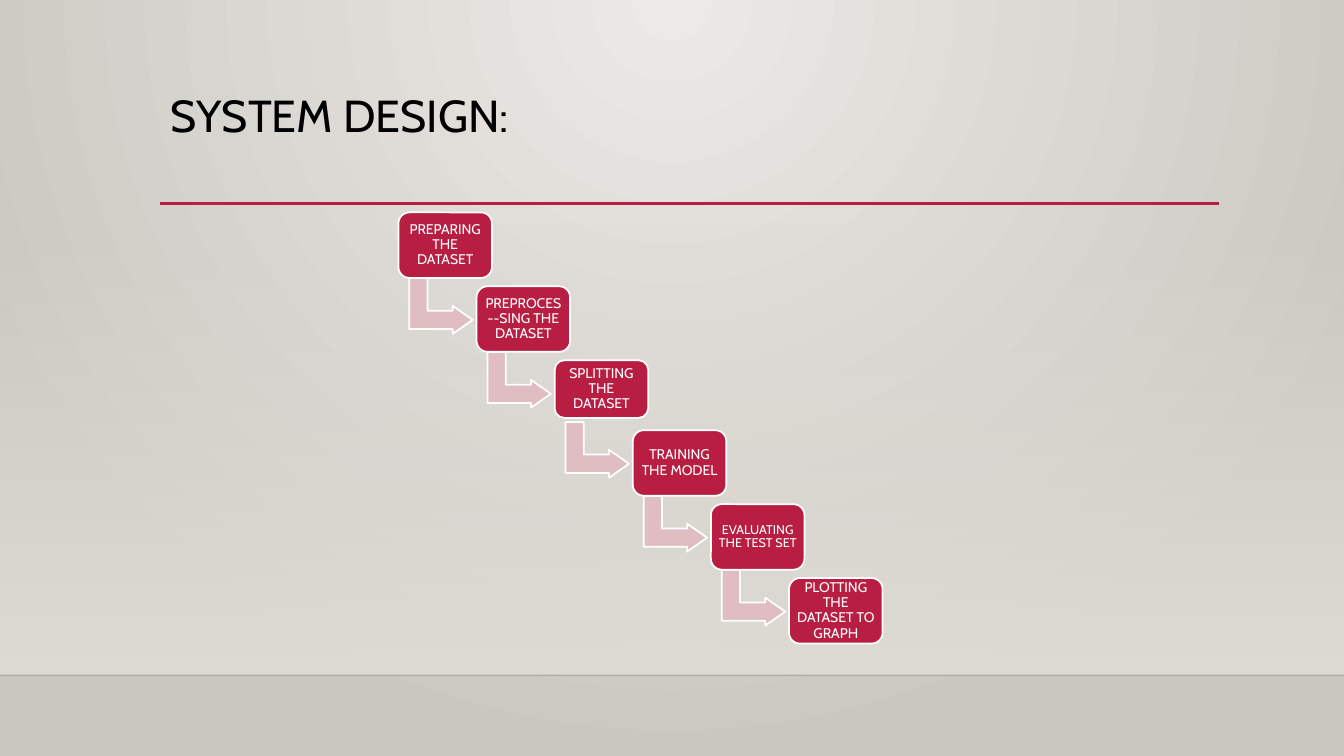
import lxml.etree
import pptx
import pptx.dml.color
import pptx.enum.shapes
import pptx.enum.text
import pptx.oxml
import pptx.oxml.ns
import pptx.util

Pt = pptx.util.Pt
qn = pptx.oxml.ns.qn
SHAPES = pptx.enum.shapes.MSO_SHAPE
ALIGN = pptx.enum.text.PP_ALIGN
ANCHOR = pptx.enum.text.MSO_ANCHOR

COLORS = {
    "glow": "ECEAE7", "edge": "CAC7C1", "wall": "DFDBD5", "floor": "000001",
    "red": "B71E42", "pink": "DFBDC0", "white": "FFFFFF", "black": "000000",
}
WIDE, HIGH = 960, 540
FLOOR = 482.4


def color(name):
    """Return the named colour as an RGB value."""
    return pptx.dml.color.RGBColor.from_string(COLORS[name])


def blend(parent, stops, course):
    """Swap the solid fill of parent for a gradient of (place, colour, alpha)."""
    marks = "".join(
        f'<a:gs pos="{place * 1000}"><a:srgbClr val="{COLORS[name]}">'
        f'<a:alpha val="{alpha * 1000}"/></a:srgbClr></a:gs>'
        for place, name, alpha in stops)
    grad = pptx.oxml.parse_xml(
        f'<a:gradFill {pptx.oxml.ns.nsdecls("a")} rotWithShape="1">'
        f'<a:gsLst>{marks}</a:gsLst>{course}</a:gradFill>')
    parent.replace(parent.find(qn("a:solidFill")), grad)


class Deck:
    """Hold the style and the current slide."""

    font = "Cabin"
    border = 1.25

    def __init__(self):
        """Start a deck with one title-only slide."""
        self.show = pptx.Presentation()
        self.show.slide_width, self.show.slide_height = Pt(WIDE), Pt(HIGH)
        self.slide = self.show.slides.add_slide(self.show.slide_layouts[5])

    def style(self, para, size, name):
        """Set the font and spacing of a paragraph."""
        para.font.name = self.font
        para.font.size = Pt(size)
        para.font.color.rgb = color(name)
        para.line_spacing = 0.9

    def back(self):
        """Light the background from the top centre."""
        self.slide.background.fill.solid()
        blend(self.slide.element.xpath(".//p:bgPr")[0],
              [(0, "glow", 100), (100, "edge", 100)],
              '<a:path path="circle"><a:fillToRect l="43000" t="0" '
              'r="43000" b="100000"/></a:path>')

    def title(self, text, *frame):
        """Place and fill the title."""
        head = self.slide.shapes.title
        head.left, head.top, head.width, head.height = map(Pt, frame)
        box = head.text_frame
        box.text = text
        box.word_wrap = True
        box.vertical_anchor = ANCHOR.TOP
        box.paragraphs[0].alignment = ALIGN.LEFT
        self.style(box.paragraphs[0], 32, "black")

    def shape(self, kind, fill, *frame):
        """Add a plain filled shape."""
        item = self.slide.shapes.add_shape(kind, *map(Pt, frame))
        item.shadow.inherit = False
        item.fill.solid()
        item.fill.fore_color.rgb = color(fill)
        item.line.fill.background()
        return item

    def edge(self, item):
        """Give a shape the white border."""
        item.line.color.rgb = color("white")
        item.line.width = Pt(self.border)

    def wall(self, *frame):
        """Add the panel that fades in from top to bottom."""
        panel = self.shape(SHAPES.RECTANGLE, "wall", *frame)
        blend(panel.element.spPr, [(0, "wall", 0), (100, "wall", 100)],
              '<a:lin ang="5400000" scaled="0"/>')

    def rule(self, left, right, top, name, width, alpha=100):
        """Add a level line."""
        line = self.slide.shapes.add_connector(
            pptx.enum.shapes.MSO_CONNECTOR.STRAIGHT,
            Pt(left), Pt(top), Pt(right), Pt(top))
        line.line.color.rgb = color(name)
        line.line.width = Pt(width)
        props = line.element.spPr
        tone = props.find(".//" + qn("a:srgbClr"))
        lxml.etree.SubElement(tone, qn("a:alpha"), val=str(alpha * 1000))
        lxml.etree.SubElement(props, qn("a:effectLst"))

    def arrow(self, left, top):
        """Add a bent arrow that goes down and then right."""
        bend = self.shape(SHAPES.BENT_UP_ARROW, "pink", left, top, 39.8, 45.3)
        bend.rotation = 90
        for spot, value in enumerate((0.328, 0.25, 0.358)):
            bend.adjustments[spot] = value
        self.edge(bend)

    def step(self, text, size, *frame):
        """Add a rounded box with centred text."""
        item = self.shape(SHAPES.ROUNDED_RECTANGLE, "red", *frame)
        item.adjustments[0] = 0.167
        self.edge(item)
        box = item.text_frame
        box.word_wrap = True
        box.vertical_anchor = ANCHOR.MIDDLE
        box.margin_left = box.margin_right = Pt(2.8)
        box.margin_top = box.margin_bottom = Pt(0)
        box.text = text
        box.paragraphs[0].alignment = ALIGN.CENTER
        self.style(box.paragraphs[0], size, "white")


# Text, font size, box height and drop to the next box
STEPS = [
    ("PREPARING THE DATASET", 10, 46.8, 52.8),
    ("PREPROCES--SING THE DATASET", 10, 46.8, 52.8),
    ("SPLITTING THE DATASET", 10, 41.2, 50),
    ("TRAINING THE MODEL", 10, 46.8, 52.8),
    ("EVALUATING THE TEST SET", 9, 46.8, 52.8),
    ("PLOTTING THE DATASET TO GRAPH", 10, 46.8, 0),
]

deck = Deck()
deck.back()
deck.wall(0, 159, WIDE, FLOOR - 159)
deck.rule(0, WIDE, FLOOR, "floor", 1, 20)
deck.rule(114.4, 870.9, 145.2, "red", 2.5)
deck.title("SYSTEM DESIGN:", 114.4, 63.2, 756, 82.8)

left, top = 284.6, 151.7
for text, size, height, drop in STEPS:
    if drop:
        deck.arrow(left + 10.5, top + drop - 8.6)
    deck.step(text, size, left, top, 66.8, height)
    left, top = left + 55.8, top + drop

deck.show.save("out.pptx")
